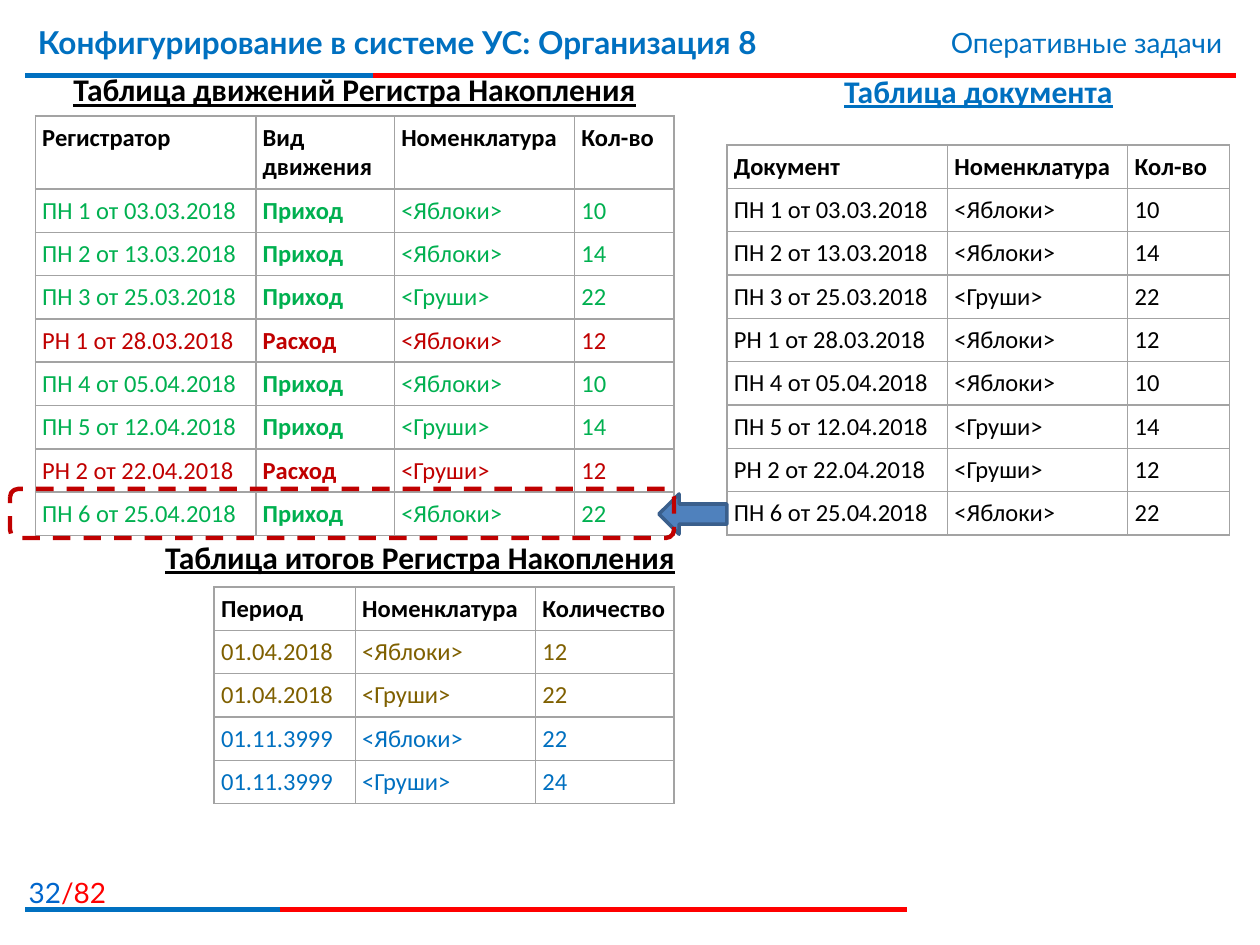
from dataclasses import dataclass

from lxml import etree
from pptx import Presentation
from pptx import util as u
from pptx.dml.color import RGBColor
from pptx.enum import dml, shapes, text
from pptx.oxml import ns


@dataclass(frozen=True)
class Theme:
    blue: str = "0070C0"
    page_blue: str = "0066CC"
    red: str = "FF0000"
    black: str = "000000"
    income: str = "00B050"
    expense: str = "C00000"
    past: str = "7F6000"
    border: str = "A3A3A3"
    arrow: str = "4F81BD"
    arrow_edge: str = "3A5F8C"
    header_font: str = "Lato"
    body_font: str = "Calibri"
    heading_size: int = 18
    header_size: int = 16
    cell_size: int = 14


@dataclass(frozen=True)
class Box:
    left: float
    top: float
    width: float
    height: float

    def lengths(self):
        return [grid(n) for n in (self.left, self.top, self.width, self.height)]


THEME = Theme()
SLIDE_WIDTH, SLIDE_HEIGHT = u.Inches(10), u.Inches(7.5)
GRID_COLUMNS = 100
CELL_MARGIN = 0.55

DOCUMENTS = [
    ("ПН 1 от 03.03.2018", "<Яблоки>", "10"),
    ("ПН 2 от 13.03.2018", "<Яблоки>", "14"),
    ("ПН 3 от 25.03.2018", "<Груши>", "22"),
    ("РН 1 от 28.03.2018", "<Яблоки>", "12"),
    ("ПН 4 от 05.04.2018", "<Яблоки>", "10"),
    ("ПН 5 от 12.04.2018", "<Груши>", "14"),
    ("РН 2 от 22.04.2018", "<Груши>", "12"),
    ("ПН 6 от 25.04.2018", "<Яблоки>", "22"),
]
TOTALS = [
    ("01.04.2018", "<Яблоки>", "12"),
    ("01.04.2018", "<Груши>", "22"),
    ("01.11.3999", "<Яблоки>", "22"),
    ("01.11.3999", "<Груши>", "24"),
]


def grid(units):
    return u.Emu(round(SLIDE_WIDTH * units / GRID_COLUMNS))


def rgb(color):
    return RGBColor.from_string(color)


def style_font(font, name, size, color, bold=False, underline=False):
    font.name, font.size, font.bold = name, u.Pt(size), bold
    font.underline = underline
    font.color.rgb = rgb(color)


def add_text(slide, box, words, alignment, **font):
    frame = slide.shapes.add_textbox(*box.lengths()).text_frame
    frame.word_wrap = True
    paragraph = frame.paragraphs[0]
    paragraph.text = words
    paragraph.alignment = alignment
    style_font(paragraph.font, **font)
    return paragraph


def add_heading(slide, box, words, color=THEME.black):
    add_text(slide, box, words, text.PP_ALIGN.CENTER, name=THEME.body_font,
             size=THEME.heading_size, color=color, bold=True, underline=True)


def add_rule(slide, box, blue_width):
    for width, color in ((box.width, THEME.red), (blue_width, THEME.blue)):
        line = slide.shapes.add_connector(
            shapes.MSO_CONNECTOR.STRAIGHT, grid(box.left), grid(box.top),
            grid(box.left + width), grid(box.top))
        line.line.color.rgb = rgb(color)
        line.line.width = u.Pt(3)
        etree.SubElement(line._element.spPr, ns.qn("a:effectLst"))


def add_header(slide, box):
    add_rule(slide, Box(box.left, box.top + box.height, box.width, 0), 27.6)
    title = slide.shapes.title
    title.left, title.top, title.width, title.height = Box(
        box.left, box.top, 74, 6.2).lengths()
    frame = title.text_frame
    frame.word_wrap = True
    frame.vertical_anchor = text.MSO_ANCHOR.TOP
    paragraph = frame.paragraphs[0]
    paragraph.text = "Конфигурирование в системе УС: Организация 8"
    paragraph.alignment = text.PP_ALIGN.LEFT
    style_font(paragraph.font, THEME.header_font, THEME.heading_size,
               THEME.blue, bold=True)
    add_text(slide, Box(59.4, box.top + 0.2, 38.6, 3.9), "Оперативные задачи",
             text.PP_ALIGN.RIGHT, name=THEME.header_font,
             size=THEME.header_size, color=THEME.blue)


def add_footer(slide, box):
    paragraph = add_text(slide, Box(0, box.top, 9.4, box.height), "32",
                         text.PP_ALIGN.RIGHT, name=THEME.header_font,
                         size=THEME.header_size, color=THEME.page_blue)
    total = paragraph.add_run()
    total.text = "/82"
    total.font.color.rgb = rgb(THEME.red)
    add_rule(slide, Box(box.left, box.top + box.height, box.width, 0), 20.2)


def style_cell(cell, words, color, bold):
    cell.text = words
    for side in ("left", "top", "right", "bottom"):
        setattr(cell, f"margin_{side}", grid(CELL_MARGIN))
    for paragraph in cell.text_frame.paragraphs:
        style_font(paragraph.font, THEME.body_font, THEME.cell_size, color, bold)
    properties = cell._tc.get_or_add_tcPr()
    for tag in ("a:lnL", "a:lnR", "a:lnT", "a:lnB"):
        border = etree.SubElement(properties, ns.qn(tag), w=str(u.Pt(1)))
        fill = etree.SubElement(border, ns.qn("a:solidFill"))
        etree.SubElement(fill, ns.qn("a:srgbClr"), val=THEME.border)
    cell.fill.background()


def add_table(slide, box, widths, header, rows, colors,
              header_height=None, bold_column=None):
    table = slide.shapes.add_table(
        len(rows) + 1, len(header), *box.lengths()).table
    table.first_row = table.horz_banding = False
    for column, width in zip(table.columns, widths):
        column.width = grid(width)
    header_height = header_height or box.height / (len(rows) + 1)
    row_height = (box.height - header_height) / len(rows)
    for i, values in enumerate([header, *rows]):
        table.rows[i].height = grid(row_height if i else header_height)
        color = colors[i - 1] if i else THEME.black
        for j, words in enumerate(values):
            style_cell(table.cell(i, j), words, color, i == 0 or j == bold_column)


def add_movements(slide, box):
    add_heading(slide, Box(box.left, box.top - 4.1, box.width, 4),
                "Таблица движений Регистра Накопления")
    incoming = [row[0].startswith("ПН") for row in DOCUMENTS]
    rows = [(name, "Приход" if income else "Расход", item, count)
            for (name, item, count), income in zip(DOCUMENTS, incoming)]
    add_table(slide, box, (17.5, 11, 14.3, 7.9),
              ("Регистратор", "Вид \vдвижения", "Номенклатура", "Кол-во"), rows,
              [THEME.income if income else THEME.expense for income in incoming],
              header_height=5.8, bold_column=1)


def add_documents(slide, box):
    add_heading(slide, Box(box.left - 2.1, box.top - 6.3, 44.1, 4),
                "Таблица документа", THEME.blue)
    add_table(slide, box, (17.5, 14.3, 8.1), ("Документ", "Номенклатура", "Кол-во"),
              DOCUMENTS, [THEME.black] * len(DOCUMENTS))


def add_totals(slide, box):
    add_heading(slide, Box(box.left - 5.7, box.top - 4.4, 44.1, 4),
                "Таблица итогов Регистра Накопления")
    add_table(slide, box, (11.2, 14.3, 11), ("Период", "Номенклатура", "Количество"),
              TOTALS, [THEME.past] * 2 + [THEME.blue] * 2)


def add_last_movement_mark(slide, box):
    arrow = slide.shapes.add_shape(
        shapes.MSO_SHAPE.LEFT_ARROW,
        *Box(box.left + box.width - 1.2, box.top + 0.4, 5.4, 3.2).lengths())
    arrow.fill.solid()
    arrow.fill.fore_color.rgb = rgb(THEME.arrow)
    frame = slide.shapes.add_shape(
        shapes.MSO_SHAPE.ROUNDED_RECTANGLE, *box.lengths())
    frame.fill.background()
    frame.line.dash_style = dml.MSO_LINE.DASH
    for shape, color, width in ((arrow, THEME.arrow_edge, 2),
                                (frame, THEME.expense, 2.5)):
        shape.shadow.inherit = False
        shape.line.color.rgb = rgb(color)
        shape.line.width = u.Pt(width)


def main():
    presentation = Presentation()
    presentation.slide_width, presentation.slide_height = SLIDE_WIDTH, SLIDE_HEIGHT
    slide = presentation.slides.add_slide(presentation.slide_layouts[5])
    add_header(slide, Box(2, 1.3, 96.1, 4.7))
    add_movements(slide, Box(2.8, 9.2, 50.7, 33.3))
    add_documents(slide, Box(57.7, 11.5, 39.9, 31))
    add_totals(slide, Box(17, 46.6, 36.5, 17.2))
    add_last_movement_mark(slide, Box(0.8, 38.8, 52.7, 3.9))
    add_footer(slide, Box(2, 69, 70, 3.2))
    presentation.save("out.pptx")


if __name__ == "__main__":
    main()
